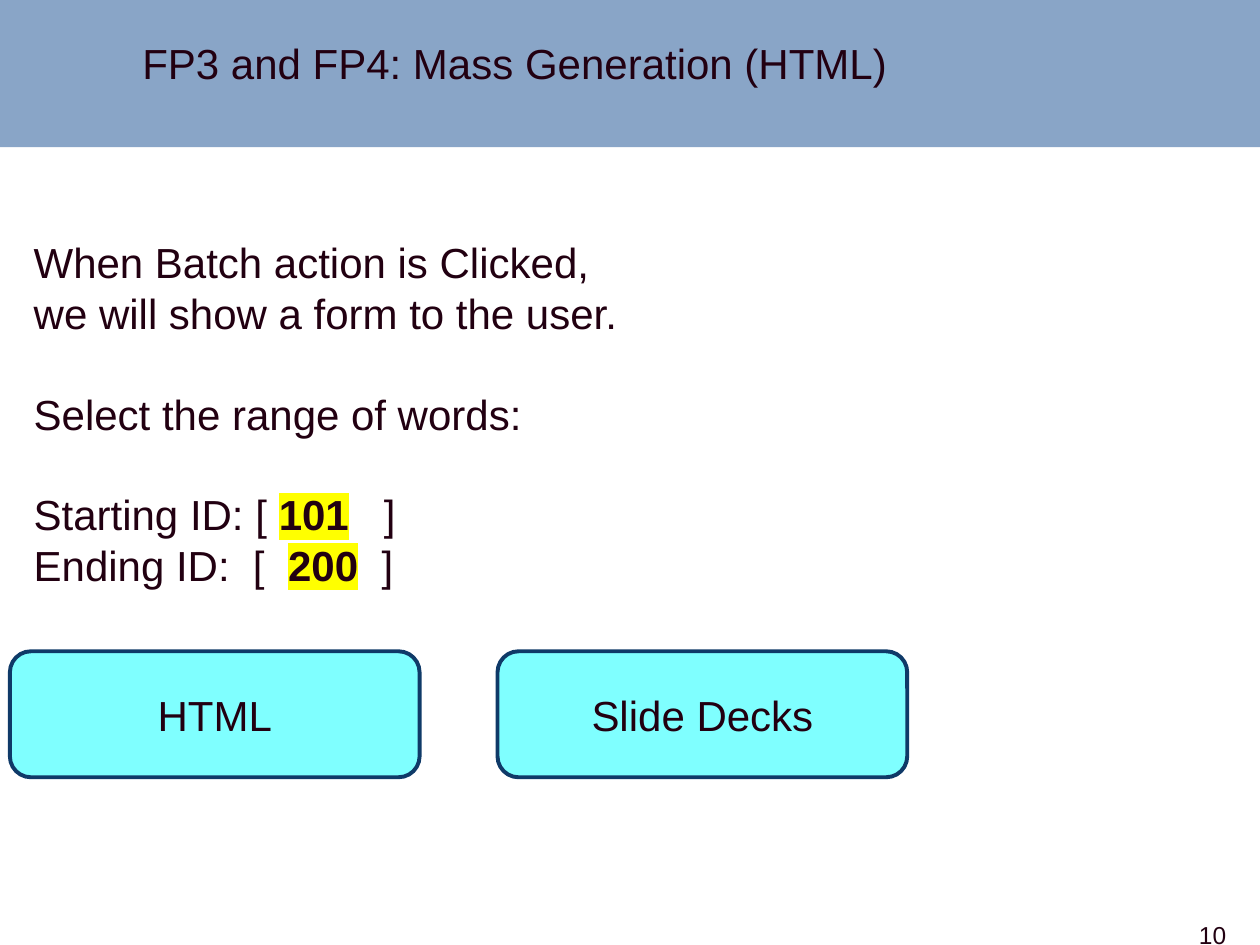
from lxml import etree
from pptx import Presentation
from pptx.dml.color import RGBColor
from pptx.enum.shapes import MSO_SHAPE
from pptx.enum.text import MSO_ANCHOR, PP_ALIGN
from pptx.oxml.ns import qn
from pptx.util import Cm, Pt

LEFT, CENTER, RIGHT = PP_ALIGN.LEFT, PP_ALIGN.CENTER, PP_ALIGN.RIGHT
TOP, MIDDLE = MSO_ANCHOR.TOP, MSO_ANCHOR.MIDDLE
RECTANGLE, ROUNDED = MSO_SHAPE.RECTANGLE, MSO_SHAPE.ROUNDED_RECTANGLE

INK, BAND, AQUA, NAVY, YELLOW = "220011", "89A5C7", "00FFFF", "0F3A68", "FFFF00"
LINE_PITCH = 28.8

TITLE = "FP3 and FP4: Mass Generation (HTML)"
PAGE_NUMBER = "10"
FORM = [
    (0, [("When Batch action is Clicked, we will show a form to the user.", False)]),
    (1, [("Select the range of words:", False)]),
    (1, [("Starting ID: [ ", False), ("101", True), ("   ]", False)]),
    (0, [("Ending ID:  [  ", False), ("200", True), ("  ]", False)]),
]
BUTTONS = ["HTML", "Slide Decks"]
BUTTON_LEFT, BUTTON_TOP, BUTTON_WIDTH, BUTTON_HEIGHT = 0.2, 13.13, 8.26, 2.54
BUTTON_STEP = 9.83


def color(value):
    return RGBColor.from_string(value)


def add_span(para, text, size=24, marked=False):
    span = para.add_run()
    span.text = text
    span.font.size = Pt(size)
    span.font.bold = marked
    span.font.color.rgb = color(INK)
    if marked:
        highlight = etree.SubElement(span.font.fill._xPr, qn("a:highlight"))
        etree.SubElement(highlight, qn("a:srgbClr"), val=YELLOW)
    span.font.name = "Arial"


def write_line(box, text, size=24, align=LEFT, anchor=TOP):
    frame = box.text_frame
    frame.word_wrap = False
    frame.vertical_anchor = anchor
    para = frame.paragraphs[0]
    para.alignment = align
    add_span(para, text, size)


def add_box(page, left, top, width, height):
    return page.shapes.add_textbox(Cm(left), Cm(top), Cm(width), Cm(height))


def add_panel(page, kind, left, top, width, height, fill):
    panel = page.shapes.add_shape(kind, Cm(left), Cm(top), Cm(width), Cm(height))
    panel.shadow.inherit = False
    panel.fill.solid()
    panel.fill.fore_color.rgb = color(fill)
    panel.line.fill.background()
    return panel


def add_form(page):
    frame = add_box(page, 0.43, 4.65, 12.7, 9.5).text_frame
    frame.word_wrap = True
    for index, (gap_lines, spans) in enumerate(FORM):
        para = frame.add_paragraph() if index else frame.paragraphs[0]
        para.line_spacing = Pt(LINE_PITCH)
        para.space_before = Pt(gap_lines * LINE_PITCH)
        for text, marked in spans:
            add_span(para, text, marked=marked)


def add_button(page, index, label):
    left = BUTTON_LEFT + index * BUTTON_STEP
    button = add_panel(page, ROUNDED, left, BUTTON_TOP, BUTTON_WIDTH, BUTTON_HEIGHT, AQUA)
    shade = button.fill._xPr.find(qn("a:solidFill")).find(qn("a:srgbClr"))
    etree.SubElement(shade, qn("a:alpha"), val="50000")
    button.line.color.rgb = color(NAVY)
    button.line.width = Pt(2.25)
    write_line(button, label, align=CENTER, anchor=MIDDLE)


def main():
    deck = Presentation()
    deck.slide_width, deck.slide_height = Cm(25.4), Cm(19.05)
    page = deck.slides.add_slide(deck.slide_layouts[6])
    add_panel(page, RECTANGLE, 0, 0, 25.4, 2.97, BAND)
    write_line(add_box(page, 23.5, 18.42, 1.47, 0.63), PAGE_NUMBER, size=14, align=RIGHT)
    write_line(add_box(page, 2.62, 0.64, 15.67, 1.27), TITLE)
    add_form(page)
    for index, label in enumerate(BUTTONS):
        add_button(page, index, label)
    deck.save("out.pptx")


if __name__ == "__main__":
    main()
